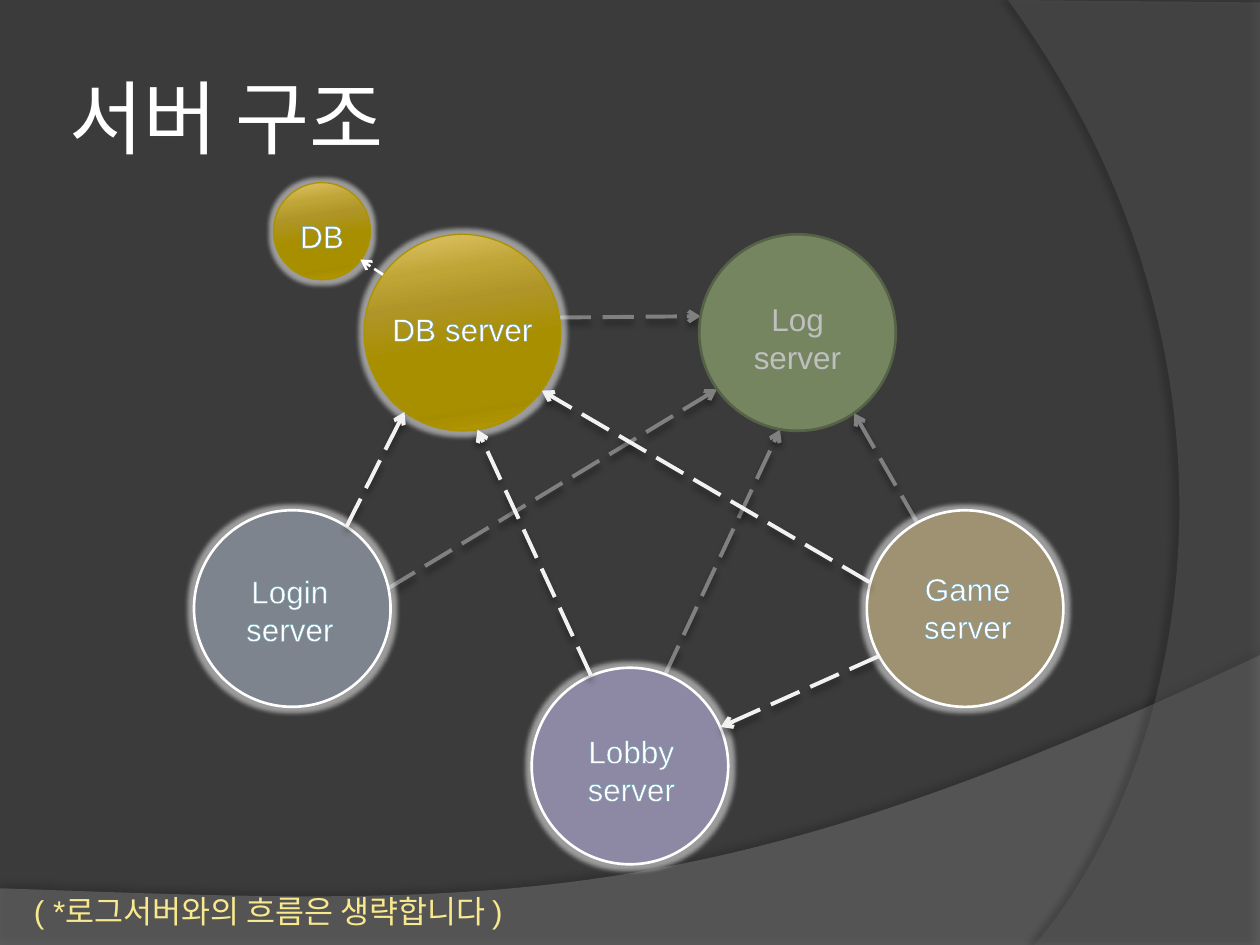
"""Build a slide showing how the game servers connect."""
from lxml import etree
from pptx import Presentation
from pptx.dml.color import RGBColor
from pptx.enum import dml, shapes, text
from pptx.oxml import parse_xml
from pptx.oxml.ns import nsdecls, qn
from pptx.util import Inches, Pt

THEME = {
    "background": "3B3B3B", "white": "FFFFFF", "muted": "BFBFBF", "note": "F9E98E",
    "flow": "F2F2F2", "log_flow": "808080", "outline": "6EA0B0",
    "gold_edge": "AB9200",
    "gold": [(0, "EED27E"), (25, "BFA536"), (38, "AF9527"), (55, "A88F00"),
             (80, "A68D00"), (88, "AF9500"), (100, "E6C100")],
    "font": "Arial", "title_font": "Karla", "title_size": 46, "body_size": 18,
}
TITLE = "서버 구조"
NOTE = "( *로그서버와의 흐름은 생략합니다 )"
SERVERS = [
    {"at": (1.54, 4.05), "turn": 33.4, "fill": "7E848D", "edge": "FFFFFF",
     "label": "Login\nserver", "label_at": (1.85, 4.49, 0.9, 0.71)},
    {"at": (2.89, 1.86), "turn": 351, "fill": None, "edge": THEME["gold_edge"],
     "label": "DB server", "label_at": (3.01, 2.41, 1.32, 0.4)},
    {"at": (4.22, 5.3), "turn": 336.3, "fill": "8D89A4", "edge": "FFFFFF",
     "label": "Lobby\nserver", "label_at": (4.56, 5.76, 0.9, 0.71)},
    {"at": (6.88, 4.05), "turn": 330.9, "fill": "9E9273", "edge": "FFFFFF",
     "label": "Game\nserver", "label_at": (7.23, 4.47, 0.9, 0.71)},
    {"at": (5.55, 1.86), "turn": 9.9, "fill": "748560", "edge": "566247", "muted": True,
     "label": "Log\nserver", "label_at": (5.88, 2.33, 0.9, 0.71)},
]
DATABASE = {"at": (2.17, 1.45), "turn": 351, "fill": None, "edge": THEME["gold_edge"],
            "label": "DB", "label_at": (2.28, 1.67, 0.55, 0.4)}
SERVER_SIZE, DATABASE_SIZE = 1.56, 0.77
LOG_FLOWS = [((5.28, 5.35), (6.19, 3.41)), ((7.28, 4.15), (6.78, 3.28)),
             ((3.08, 4.67), (5.69, 3.09)), ((4.44, 2.52), (5.56, 2.51))]
FLOWS = [((2.75, 4.18), (3.21, 3.27)), ((4.69, 5.36), (3.79, 3.41)),
         ((6.9, 4.62), (4.3, 3.1)), ((6.97, 5.21), (5.72, 5.77))]
DATABASE_FLOW = ((3.04, 2.18), (2.86, 2.06))
WAVES = [
    {"before": [(0, 7.05), (0, 7.5), (10, 7.5)],
     "curve": [(10, 5.2), (5.59, 7.29), (3.91, 7.19), (0, 7.05)],
     "fill": ("7F7F7F", 45), "shadow": (35, 4, 3.5, 270)},
    {"before": [(10, 0.02), (10, 7.5)],
     "curve": [(8.21, 7.5), (9.35, 6.19), (10.18, 3), (8, 0)],
     "fill": ("5E5E5E", 40), "shadow": (45, 4, 4, 180)},
]


def color(value):
    return RGBColor.from_string(value)


def add_effects(part, inner=""):
    part._element.spPr.append(parse_xml(f'<a:effectLst {nsdecls("a")}>{inner}</a:effectLst>'))


def shadow_xml(alpha, blur, distance, angle):
    return (f'<a:outerShdw blurRad="{Pt(blur)}" dist="{Pt(distance)}" dir="{angle * 60000}" '
            f'rotWithShape="0"><a:srgbClr val="000000"><a:alpha val="{alpha * 1000}"/>'
            '</a:srgbClr></a:outerShdw>')


def curve_points(a, b, c, d, steps=60):
    for step in range(steps + 1):
        t = step / steps
        weights = ((1 - t) ** 3, 3 * t * (1 - t) ** 2, 3 * t * t * (1 - t), t ** 3)
        yield tuple(sum(w * p[axis] for w, p in zip(weights, (a, b, c, d))) for axis in (0, 1))


def add_wave(slide, wave):
    points = [(Inches(x), Inches(y))
              for x, y in wave["before"] + list(curve_points(*wave["curve"]))]
    builder = slide.shapes.build_freeform(*points[0], scale=1.0)
    builder.add_line_segments(points[1:], close=True)
    band = builder.convert_to_shape()
    fill, alpha = wave["fill"]
    band.fill.solid()
    band.fill.fore_color.rgb = color(fill)
    tint = band._element.spPr.find(".//" + qn("a:srgbClr"))
    etree.SubElement(tint, qn("a:alpha"), val=str(alpha * 1000))
    band.line.fill.background()
    add_effects(band, shadow_xml(*wave["shadow"]))


def add_flow(slide, ends, tone, width=2.25, dash=dml.MSO_LINE.LONG_DASH, shadow=True):
    start, end = ends
    arrow = slide.shapes.add_connector(
        shapes.MSO_CONNECTOR.STRAIGHT, *map(Inches, start + end))
    arrow.line.color.rgb = color(tone)
    arrow.line.width = Pt(width)
    arrow.line.dash_style = dash
    etree.SubElement(arrow._element.spPr.find(qn("a:ln")), qn("a:tailEnd"), type="arrow")
    add_effects(arrow, shadow_xml(40, 4, 3, 90) if shadow else "")


def add_circle(slide, node, size):
    circle = slide.shapes.add_shape(
        shapes.MSO_SHAPE.OVAL, *map(Inches, node["at"] + (size, size)))
    circle.rotation = node["turn"]
    if node["fill"]:
        circle.fill.solid()
        circle.fill.fore_color.rgb = color(node["fill"])
    else:
        circle.fill.gradient()
        stops = "".join(f'<a:gs pos="{at * 1000}"><a:srgbClr val="{tone}"/></a:gs>'
                        for at, tone in THEME["gold"])
        gradient = circle._element.spPr.find(qn("a:gradFill"))
        gradient.getparent().replace(gradient, parse_xml(
            f'<a:gradFill {nsdecls("a")} rotWithShape="1"><a:gsLst>{stops}</a:gsLst>'
            '<a:lin ang="5400000" scaled="1"/></a:gradFill>'))
    circle.line.color.rgb = color(node["edge"])
    circle.line.width = Pt(1.5 if node["fill"] else 0.75)
    glow = (f'<a:glow rad="{Pt(5)}"><a:srgbClr val="{THEME["white"]}">'
            '<a:alpha val="50000"/></a:srgbClr></a:glow>')
    add_effects(circle, "" if node.get("muted") else glow)


def add_text(slide, words, place, tone, align=text.PP_ALIGN.CENTER, outlined=False):
    box = slide.shapes.add_textbox(*map(Inches, place))
    frame = box.text_frame
    frame.text = words
    frame.word_wrap = False
    frame.auto_size = text.MSO_AUTO_SIZE.SHAPE_TO_FIT_TEXT
    for paragraph in frame.paragraphs:
        paragraph.alignment = align
        for run in paragraph.runs:
            style_font(run.font, THEME["font"], THEME["body_size"], tone)
            if outlined:
                run._r.get_or_add_rPr().insert(0, parse_xml(
                    f'<a:ln {nsdecls("a")} w="{Pt(0.8)}"><a:solidFill>'
                    f'<a:srgbClr val="{THEME["outline"]}"/></a:solidFill></a:ln>'))


def style_font(font, name, size, tone):
    font.name = name
    font.size = Pt(size)
    font.color.rgb = color(tone)


def add_label(slide, node):
    muted = node.get("muted", False)
    add_text(slide, node["label"], node["label_at"],
             THEME["muted" if muted else "white"], outlined=not muted)


def add_title(slide):
    title = slide.shapes.title
    title.left, title.top, title.width, title.height = map(Inches, (0.5, 0.3, 8.17, 1.25))
    frame = title.text_frame
    frame.text = TITLE
    frame.vertical_anchor = text.MSO_ANCHOR.MIDDLE
    frame.margin_left = frame.margin_right = Inches(0.05)
    frame.margin_top = frame.margin_bottom = Inches(0.05)
    paragraph = frame.paragraphs[0]
    paragraph.alignment = text.PP_ALIGN.LEFT
    style_font(paragraph.runs[0].font, THEME["title_font"], THEME["title_size"], THEME["white"])


def main():
    deck = Presentation()
    deck.slide_width, deck.slide_height = Inches(10), Inches(7.5)
    slide = deck.slides.add_slide(deck.slide_layouts[5])
    slide.background.fill.solid()
    slide.background.fill.fore_color.rgb = color(THEME["background"])
    for wave in WAVES:
        add_wave(slide, wave)
    for ends in LOG_FLOWS:
        add_flow(slide, ends, THEME["log_flow"])
    add_title(slide)
    for server in SERVERS:
        add_circle(slide, server, SERVER_SIZE)
    for ends in FLOWS:
        add_flow(slide, ends, THEME["flow"])
    for server in SERVERS:
        add_label(slide, server)
    add_circle(slide, DATABASE, DATABASE_SIZE)
    add_label(slide, DATABASE)
    add_flow(slide, DATABASE_FLOW, THEME["white"], 1.5, dml.MSO_LINE.DASH, shadow=False)
    add_text(slide, NOTE, (0.17, 7.03, 4.28, 0.4), THEME["note"], text.PP_ALIGN.LEFT)
    deck.save("out.pptx")


main()
